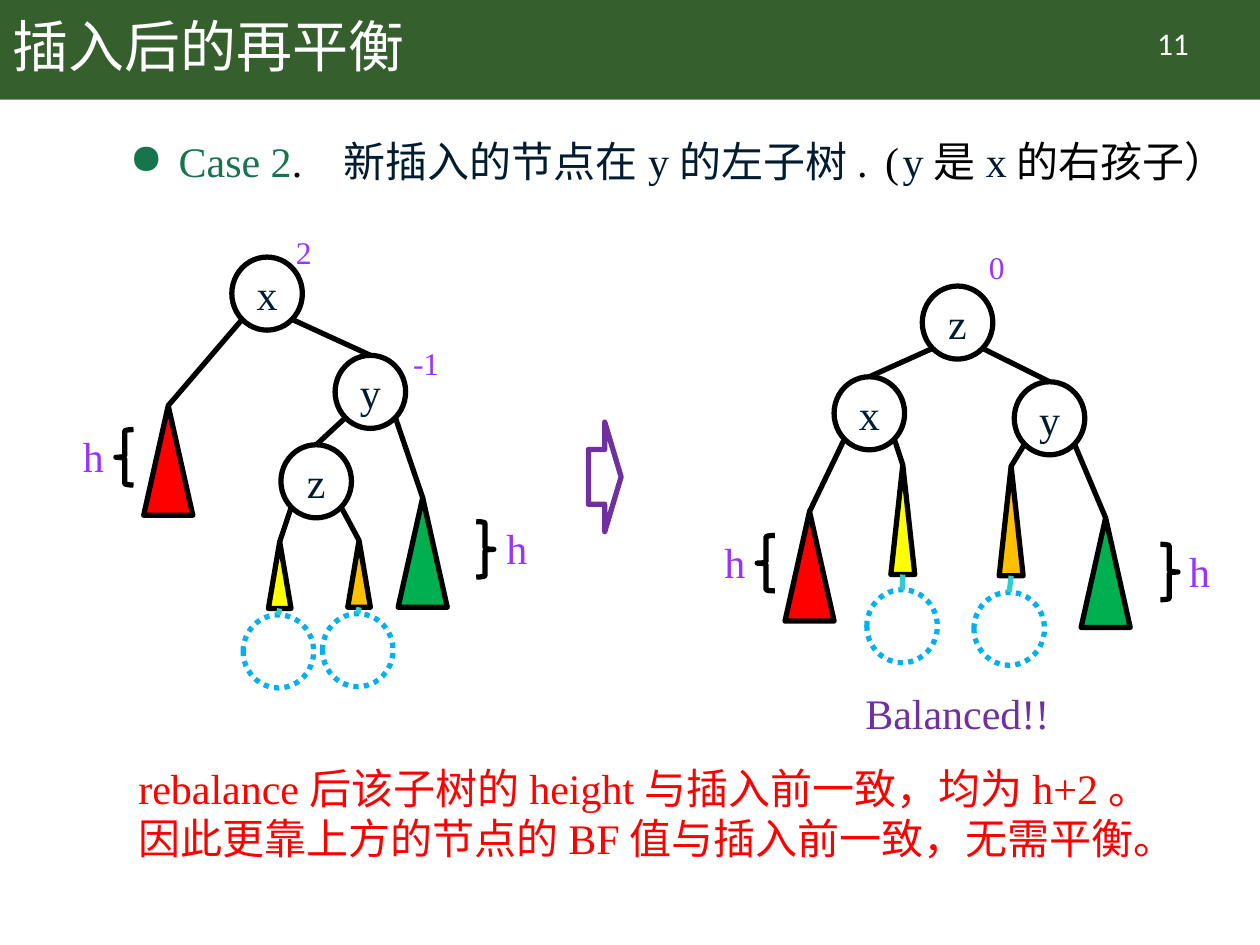
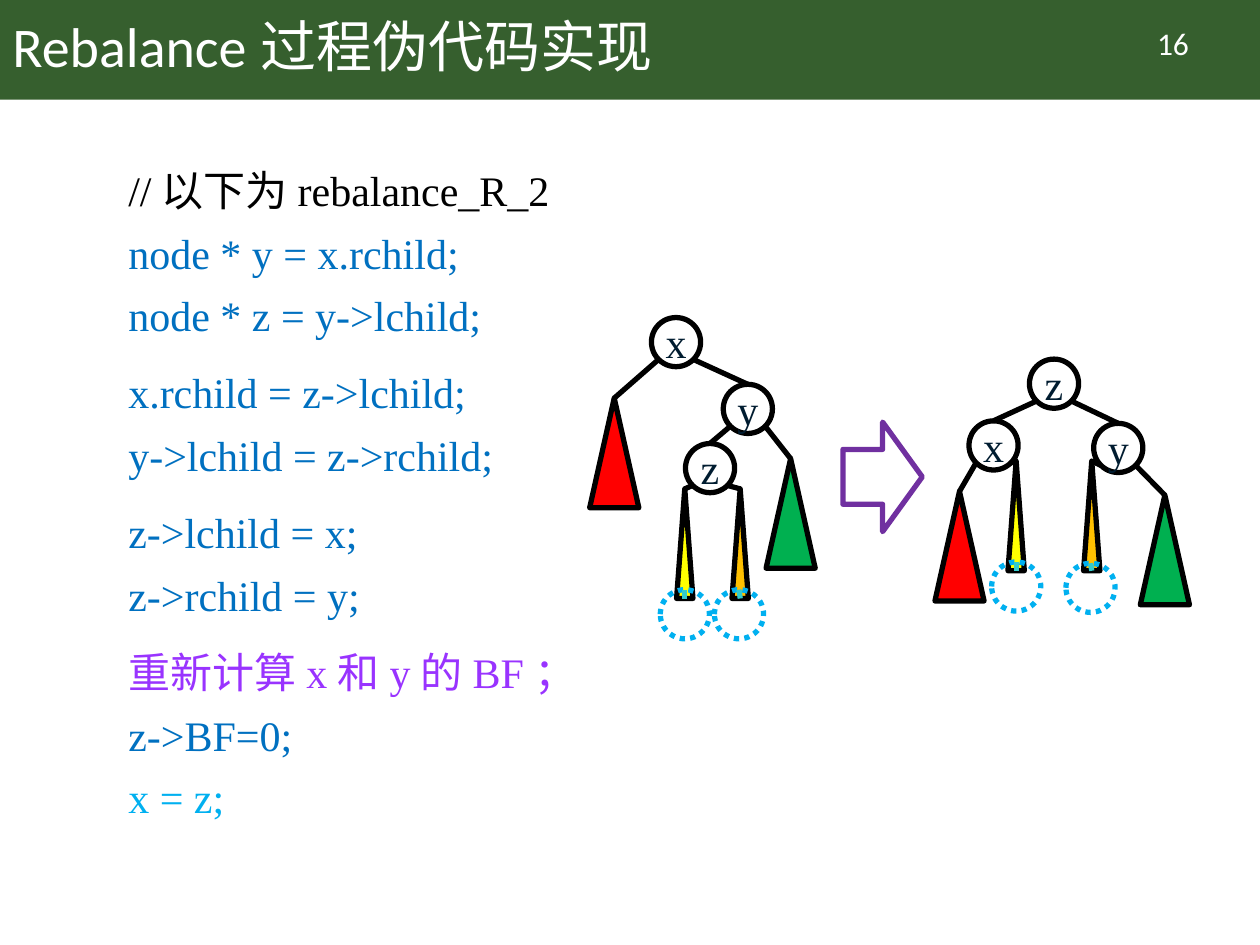
from lxml.etree import SubElement
from pptx import Presentation
from pptx.dml.color import RGBColor
from pptx.enum.dml import MSO_LINE
from pptx.enum.shapes import MSO_CONNECTOR, MSO_SHAPE
from pptx.enum.text import MSO_ANCHOR, PP_ALIGN
from pptx.oxml.ns import qn
from pptx.util import Inches, Pt

COLOURS = {
    "band": "365F2E", "white": "FFFFFF", "black": "000000", "navy": "001C30",
    "case": "16754D", "purple": "7030A0", "violet": "9933FF", "red": "FF0000",
    "yellow": "FFFF00", "orange": "FFC000", "green": "00B050",
    "blue": "0070C0", "sky": "00B0F0", "stem": "33CCCC",
}
RGB = {name: RGBColor.from_string(value) for name, value in COLOURS.items()}

deck = Presentation()
deck.slide_width, deck.slide_height = Inches(10), Inches(7.5)
CELL = deck.slide_width / 100  # every slide is a grid of 100 columns by 75 rows


def add_text(page, place, paragraphs, size=24, font="Times New Roman"):
    """Write paragraphs, each a list of (text, colour) runs, in a box placed on the grid."""
    box = page.shapes.add_textbox(*[round(cells * CELL) for cells in place])
    frame = box.text_frame
    frame.word_wrap = True
    for index, runs in enumerate(paragraphs):
        para = frame.paragraphs[0] if index == 0 else frame.add_paragraph()
        for text, colour in runs:
            span = para.add_run()
            span.text = text
            span.font.name, span.font.size = font, Pt(size)
            span.font.color.rgb = RGB[colour]
    return frame


def add_figure(page, kind, place, fill=None, line=None):
    shape = page.shapes.add_shape(kind, *[round(cells * CELL) for cells in place])
    shape.shadow.inherit = False
    if fill:
        shape.fill.solid()
        shape.fill.fore_color.rgb = RGB[fill]
    else:
        shape.fill.background()
    if line:
        shape.line.color.rgb = RGB[line]
        shape.line.width = Pt(3)
    else:
        shape.line.fill.background()
    return shape


# Shared band, title and page number
pages = []
for title, number in [("插入后的再平衡", "11"), ("Rebalance过程伪代码实现", "16")]:
    page = deck.slides.add_slide(deck.slide_layouts[6])
    add_figure(page, MSO_SHAPE.RECTANGLE, (0, 0, 100, 7.9), fill="band")
    frame = add_text(page, (87.1, 1.4, 12, 4), [[(number, "white")]], 18, "Calibri")
    frame.paragraphs[0].alignment = PP_ALIGN.CENTER
    frame = add_text(page, (0, 0, 86.2, 7.9), [[(title, "white")]], 32, "Calibri")
    frame.vertical_anchor = MSO_ANCHOR.MIDDLE
    frame.paragraphs[0].line_spacing = 0.9
    pages.append(page)
case_page, code_page = pages

# Tree structure: part -> (parent, side of the parent), the root first
BEFORE = {
    "x": None, "y": ("x", "right"), "z": ("y", "left"),
    "red": ("x", "left"), "green": ("y", "right"),
    "yellow": ("z", "left"), "orange": ("z", "right"),
}
AFTER = {
    "z": None, "x": ("z", "left"), "y": ("z", "right"),
    "red": ("x", "left"), "yellow": ("x", "right"),
    "orange": ("y", "left"), "green": ("y", "right"),
}
# Page, structure, node size, thin subtree size, left and top of each part
TREES = [
    (case_page, BEFORE, (5.6, 5.8), (1.8, 5.3), {
        "x": (18.4, 20.4), "y": (26.6, 28.2), "z": (22.3, 35.3),
        "red": (11.4, 32.2), "green": (31.6, 39.5),
        "yellow": (21.3, 43), "orange": (27.6, 42.9),
        "new yellow": (19.3, 48.8), "new orange": (25.6, 48.7)}),
    (case_page, AFTER, (5.6, 5.8), (1.9, 8.7), {
        "z": (73.2, 22.7), "x": (66.2, 29.9), "y": (80.5, 30.3),
        "red": (62.3, 40.6), "green": (85.8, 41.1),
        "yellow": (70.7, 36.9), "orange": (79.3, 37),
        "new yellow": (68.8, 46.8), "new orange": (77.3, 47)}),
    (code_page, BEFORE, (3.9, 3.9), (1.3, 8.7), {
        "x": (51.7, 25.2), "y": (57.4, 30.5), "z": (54.4, 35.2),
        "red": (46.8, 31.6), "green": (60.8, 36.4),
        "yellow": (53.7, 38.8), "orange": (58.1, 38.8),
        "new yellow": (52.4, 46.8), "new orange": (56.7, 46.8)}),
    (code_page, AFTER, (3.9, 3.9), (1.3, 8.7), {
        "z": (81.7, 28.5), "x": (76.9, 33.4), "y": (86.8, 33.6),
        "red": (74.2, 39), "green": (90.5, 39.3),
        "yellow": (80, 36.6), "orange": (86, 36.6),
        "new yellow": (78.7, 44.6), "new orange": (84.6, 44.7)}),
]
DIAGONAL = 0.146  # where a circle's diagonal meets its edge, as a share of its size
START = {"left": (DIAGONAL, 1 - DIAGONAL), "right": (1 - DIAGONAL, 1 - DIAGONAL),
         "bottom": (0.5, 1)}

for page, structure, node_size, thin_size, places in TREES:
    sizes = {"red": (3.9, 8.7), "green": (3.9, 8.7), "yellow": thin_size, "orange": thin_size}
    links = structure | {"new yellow": ("yellow", "bottom"), "new orange": ("orange", "bottom")}
    parts = {}
    for name, link in links.items():
        place = places[name] + sizes.get(name, node_size)
        if name in sizes:
            part = add_figure(page, MSO_SHAPE.ISOSCELES_TRIANGLE, place, name, "black")
        elif name.startswith("new"):
            part = add_figure(page, MSO_SHAPE.OVAL, place, line="sky")
            part.line.dash_style = MSO_LINE.ROUND_DOT
        else:
            part = add_figure(page, MSO_SHAPE.OVAL, place, line="black")
            frame = part.text_frame
            frame.margin_left = frame.margin_right = frame.margin_top = frame.margin_bottom = 0
            frame.vertical_anchor = MSO_ANCHOR.MIDDLE
            para = frame.paragraphs[0]
            para.alignment = PP_ALIGN.CENTER
            span = para.add_run()
            span.text = name
            span.font.name, span.font.size = "Times New Roman", Pt(24)
            span.font.color.rgb = RGB["navy"]
        parts[name] = part
        # Branch from the parent to the top of this part
        if link:
            parent, (across, down) = parts[link[0]], START[link[1]]
            branch = page.shapes.add_connector(
                MSO_CONNECTOR.STRAIGHT,
                round(parent.left + across * parent.width),
                round(parent.top + down * parent.height), 0, 0)
            branch.end_connect(part, 0)
            branch.line.width = Pt(3)
            branch.line.color.rgb = RGB["stem" if name.startswith("new") else "black"]
            SubElement(branch._element.spPr, qn("a:effectLst"))

# Arrows between the trees
for page, place in [(case_page, (46.7, 33.5, 2.6, 8.7)), (code_page, (66.9, 33.5, 6.3, 8.7))]:
    add_figure(page, MSO_SHAPE.RIGHT_ARROW, place, line="purple")

# Case heading with its bullet
frame = add_text(case_page, (5.7, 10.7, 93, 5.7), [[
    ("Case 2", "case"), (". ", "black"), ("新插入的节点在y的左子树", "navy"),
    (". (", "black"), ("y", "navy"), ("是", "black"), ("x", "navy"),
    ("的右孩子）", "black")]])
heading = frame.paragraphs[0]
heading.line_spacing, heading.space_before = 0.9, Pt(5)
for index, spacing in [(1, 600), (3, 200)]:  # wider gaps around the punctuation
    heading.runs[index]._r.get_or_add_rPr().set("spc", str(spacing))
properties = heading._p.get_or_add_pPr()
properties.set("marL", str(Inches(0.75)))
properties.set("indent", str(Inches(-0.39)))
bullet_colour = SubElement(properties, qn("a:buClr"))
SubElement(bullet_colour, qn("a:srgbClr"), val=COLOURS["case"])
SubElement(properties, qn("a:buChar"), char="●")

# Height braces, each with its label
for kind, left, top, label_left in [
        (MSO_SHAPE.LEFT_BRACE, 9.2, 34.1, 5.6), (MSO_SHAPE.RIGHT_BRACE, 37.8, 41.4, 39.2),
        (MSO_SHAPE.LEFT_BRACE, 60.1, 42.5, 56.5), (MSO_SHAPE.RIGHT_BRACE, 92.1, 43.2, 93.4)]:
    add_figure(case_page, kind, (left, top, 1.4, 4.4), line="black")
    add_text(case_page, (label_left, top - 0.4, 4.4, 5), [[("h", "violet")]])

# Balance factors
for factor, left, top in [("2", 22.5, 18), ("-1", 31.8, 26.8), ("0", 77.5, 19.2)]:
    add_text(case_page, (left, top, 4.4, 4), [[(factor, "violet")]], 18)

# Conclusion
add_text(case_page, (67.7, 54.1, 20.6, 5), [[("Balanced!!", "purple")]])
add_text(case_page, (10, 60, 83.7, 9.1), [
    [("rebalance后该子树的height与插入前一致，均为h+2。", "red")],
    [("因此更靠上方的节点的BF值与插入前一致，无需平衡。", "red")]])

# Pseudocode: text, colour, space before
CODE = [
    ("//以下为rebalance_R_2", "black", 10),
    ("node * y = x.rchild;", "blue", 10),
    ("node * z = y->lchild;", "blue", 10),
    ("x.rchild = z->lchild;", "blue", 18),
    ("y->lchild = z->rchild;", "blue", 10),
    ("z->lchild = x;", "blue", 18),
    ("z->rchild = y;", "blue", 10),
    ("重新计算x和y的BF；", "violet", 18),
    ("z->BF=0;", "blue", 10),
    ("x = z;", "sky", 10),
]
frame = add_text(code_page, (9.2, 13, 45.3, 54), [[(text, colour)] for text, colour, _ in CODE])
for para, (_, _, gap) in zip(frame.paragraphs, CODE):
    para.line_spacing, para.space_before = 0.9, Pt(gap)

deck.save("out.pptx")
